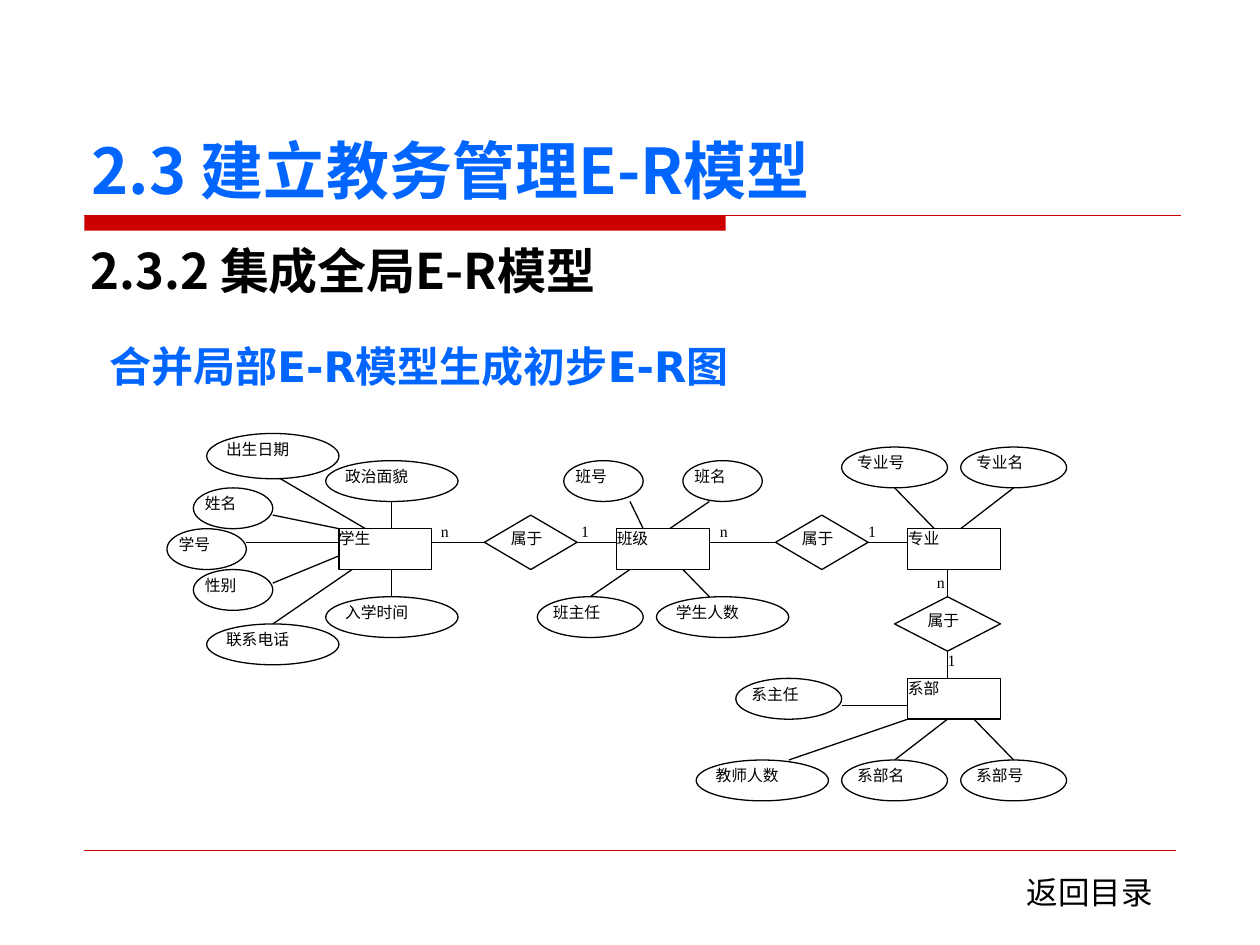
from lxml import etree
from pptx import Presentation
from pptx.dml.color import RGBColor
from pptx.enum.shapes import MSO_CONNECTOR, MSO_SHAPE
from pptx.enum.text import MSO_ANCHOR, PP_ALIGN
from pptx.oxml.ns import qn
from pptx.util import Inches, Pt

RECT, OVAL, DIAMOND = MSO_SHAPE.RECTANGLE, MSO_SHAPE.OVAL, MSO_SHAPE.DIAMOND
STRAIGHT = MSO_CONNECTOR.STRAIGHT
LEFT, TOP, BOTTOM = PP_ALIGN.LEFT, MSO_ANCHOR.TOP, MSO_ANCHOR.BOTTOM
SANS, CJK, SERIF = "DejaVu Sans", "Noto Sans CJK SC", "Times New Roman"
RED, BLUE, BLACK, WHITE = "CC0000", "0066FF", "000000", "FFFFFF"

# text, box in inches, font, size, colour, bold, anchor
HEADINGS = [
    ("2.3 建立教务管理E-R模型", (0.63, 0.36, 8.75, 1.33), CJK, 36, BLUE, True, BOTTOM),
    ("2.3.2 集成全局E-R模型", (0.62, 1.86, 8.75, 0.66), CJK, 28, BLACK, True, TOP),
    ("合并局部E-R模型生成初步E-R图", (0.77, 2.65, 8.6, 0.55), SANS, 24, BLUE, True, TOP),
    ("返回目录", (8.05, 6.88, 1.25, 0.4), SANS, 18, BLACK, False, TOP),
]

# The diagram lies on a grid: (column, row) counted from its top left corner
X0, Y0, COL, ROW = 1.325, 3.44, 0.105, 0.108

ENTITIES = [("学生", 13, 7), ("班级", 34, 7), ("专业", 56, 7), ("系部", 56, 18)]

# text, column, row, width in columns
ATTRIBUTES = [
    ("学号", 0, 7, 6), ("政治面貌", 12, 2, 10), ("姓名", 2, 4, 6),
    ("性别", 2, 10, 6), ("入学时间", 12, 12, 10), ("联系电话", 3, 14, 10),
    ("班号", 30, 2, 6), ("班名", 39, 2, 6), ("班主任", 28, 12, 8),
    ("学生人数", 37, 12, 10), ("专业号", 51, 1, 8), ("专业名", 60, 1, 8),
    ("系部号", 60, 24, 8), ("系部名", 51, 24, 8), ("系主任", 43, 18, 8),
    ("教师人数", 40, 24, 10),
]
BIRTH_DATE = ("出生日期", 3, 0, 10)

# text, column, row, width in columns
RELATIONS = [("属于", 24, 6, 7), ("属于", 46, 6, 7), ("属于", 55, 12, 8)]

CARDINALITIES = [
    ("n", 20.7, 6.5), ("1", 31.3, 6.5), ("n", 41.8, 6.5), ("1", 53, 6.5),
    ("n", 58.2, 10.2), ("1", 59, 16),
]

# from column, from row, to column, to row
LINKS = [
    (8, 11, 13, 9), (17, 5, 17, 7), (8, 3, 15, 7), (8, 6, 13, 7),
    (6, 8, 13, 8), (17, 10, 17, 12), (14, 10, 8, 14),
    (20, 8, 24, 8), (31, 8, 34, 8),
    (35, 10, 32, 12), (39, 10, 41, 12), (36, 7, 35, 5), (38, 7, 41, 5),
    (41, 8, 46, 8), (53, 8, 56, 8),
    (55, 4, 58, 7), (60, 7, 64, 4), (59, 10, 59, 12), (59, 16, 59, 18),
    (61, 21, 64, 24), (59, 21, 55, 24), (56, 21, 47, 24), (51, 20, 56, 20),
]


def rgb(value):
    return RGBColor.from_string(value)


def grid(col, row):
    return X0 + col * COL, Y0 + row * ROW


def cell(col, row, width, height):
    return (*grid(col, row), width * COL, height * ROW)


def add_line(s, start, end, color=BLACK, width=0.75):
    line = s.shapes.add_connector(STRAIGHT, *map(Inches, (*start, *end)))
    line.line.color.rgb = rgb(color)
    line.line.width = Pt(width)
    etree.SubElement(line._element.spPr, qn("a:effectLst"))


def write(sp, text, font=SERIF, size=9, color=BLACK, bold=False, anchor=TOP,
          inset=(0, 0), wrap=True):
    tf = sp.text_frame
    tf.word_wrap = wrap
    tf.vertical_anchor = anchor
    tf.margin_left = tf.margin_right = Inches(inset[0])
    tf.margin_top = tf.margin_bottom = Inches(inset[1])
    p = tf.paragraphs[0]
    p.text = text
    p.alignment = LEFT
    p.font.name, p.font.size, p.font.bold = font, Pt(size), bold
    p.font.color.rgb = rgb(color)


def add_text(s, text, box, **style):
    write(s.shapes.add_textbox(*map(Inches, box)), text, **style)


def add_node(s, kind, box, text=""):
    sp = s.shapes.add_shape(kind, *map(Inches, box))
    sp.shadow.inherit = False
    sp.fill.solid()
    sp.fill.fore_color.rgb = rgb(WHITE)
    sp.line.color.rgb = rgb(BLACK)
    sp.line.width = Pt(0.75)
    if text:
        write(sp, text)


def add_rules(s):
    bar = s.shapes.add_shape(RECT, *map(Inches, (0.67, 1.71, 5.09, 0.12)))
    bar.shadow.inherit = False
    bar.fill.solid()
    bar.fill.fore_color.rgb = rgb(RED)
    bar.line.fill.background()
    add_line(s, (0.67, 1.71), (9.37, 1.71), RED)
    add_line(s, (0.67, 6.75), (9.33, 6.75), RED, 0.25)


def add_diagram(s):
    for c1, r1, c2, r2 in LINKS:
        add_line(s, grid(c1, r1), grid(c2, r2))
    for text, col, row in ENTITIES:
        add_node(s, RECT, cell(col, row, 7, 3), text)
    for text, col, row, width in ATTRIBUTES:
        add_node(s, OVAL, cell(col, row, width, 3), text)
    text, col, row, width = BIRTH_DATE
    add_node(s, OVAL, cell(col, row, width, 3.33), text)
    for text, col, row, width in RELATIONS:
        add_node(s, DIAMOND, cell(col, row, width, 4))
        add_text(s, text, cell(col + width / 2 - 1.5, row + 1, 4, 2))
    for text, col, row in CARDINALITIES:
        add_text(s, text, cell(col, row, 1, 2), wrap=False)


def main():
    prs = Presentation()
    prs.slide_width, prs.slide_height = Inches(10), Inches(7.5)
    s = prs.slides.add_slide(prs.slide_layouts[6])
    add_rules(s)
    for text, box, font, size, color, bold, anchor in HEADINGS:
        add_text(s, text, box, font=font, size=size, color=color, bold=bold,
                 anchor=anchor, inset=(0.1, 0.05))
    add_diagram(s)
    prs.save("out.pptx")


if __name__ == "__main__":
    main()
